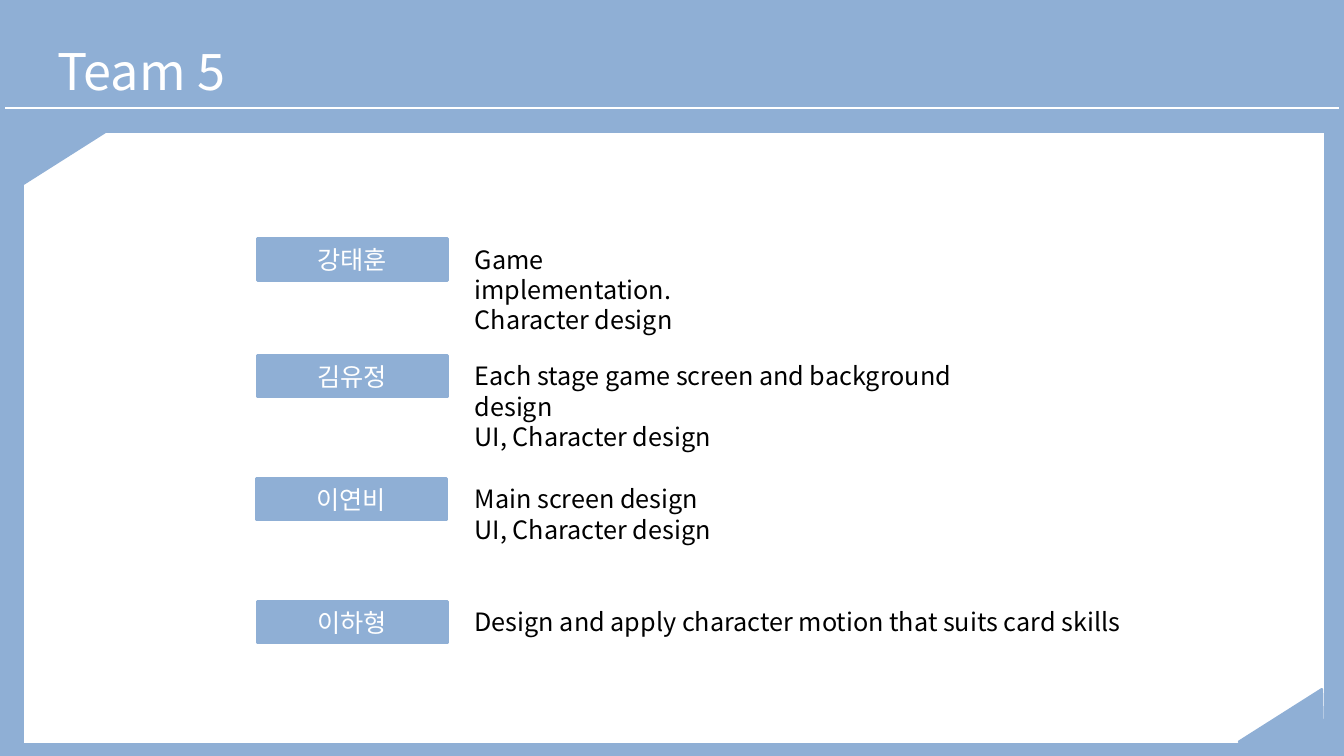
from lxml.etree import SubElement as Sub
from pptx import Presentation
from pptx.dml.color import RGBColor as RGB
from pptx.enum.shapes import MSO_CONNECTOR as Link, MSO_SHAPE as Kind
from pptx.enum.text import MSO_ANCHOR as Anchor, MSO_AUTO_SIZE as Auto, PP_ALIGN as Align
from pptx.oxml.ns import qn
from pptx.util import Inches, Pt

TITLE = "Team 5"
TEAM = [
    ("강태훈", 2.55, 2.37, 2.8, ["Game implementation.", "Character design"]),
    ("김유정", 2.55, 3.53, 5.56, ["Each stage game screen and background design", "UI, Character design"]),
    ("이연비", 2.54, 4.75, 2.66, ["Main screen design", "UI, Character design"]),
    ("이하형", 2.55, 5.97, 6.87, ["Design and apply character motion that suits card skills"]),
]
CUTS = [
    [(0.21, 1.3), (1.04, 1.31), (0.22, 1.83)],
    [(13.12, 7.37), (12.29, 7.36), (13.11, 6.84)],
]
HUES = {"blue": "8FAFD5", "white": "FFFFFF", "black": "000000"}
FONT = "Noto Sans CJK KR"
TAG = {"size": Pt(18), "hue": "white", "align": Align.CENTER}
TASK = {"size": Pt(18), "hue": "black", "align": Align.LEFT}
HEAD = {"size": Pt(36), "hue": "white", "align": Align.LEFT}


def color(name):
    return RGB.from_string(HUES[name])


def paint(shape, fill, line=None):
    shape.shadow.inherit = False
    shape.fill.solid()
    shape.fill.fore_color.rgb = color(fill)
    if line:
        shape.line.color.rgb = color(line)
        shape.line.width = Pt(2)
    else:
        shape.line.fill.background()


def write(frame, lines, look):
    frame.word_wrap = True
    for num, line in enumerate(lines):
        para = frame.add_paragraph() if num else frame.paragraphs[0]
        para.alignment = look["align"]
        run = para.add_run()
        run.text = line
        for key, value in {"name": FONT, "size": look["size"]}.items():
            setattr(run.font, key, value)
        run.font.color.rgb = color(look["hue"])
        Sub(run.font._element, qn("a:ea"), typeface=FONT)


def rect(slide, box, fill, line=None):
    shape = slide.shapes.add_shape(Kind.RECTANGLE, *map(Inches, box))
    paint(shape, fill, line)
    return shape


def label(slide, box, lines, look):
    frame = slide.shapes.add_textbox(*map(Inches, box)).text_frame
    write(frame, lines, look)
    frame.auto_size = Auto.SHAPE_TO_FIT_TEXT


def main():
    deck = Presentation()
    deck.slide_width, deck.slide_height = Inches(13.33), Inches(7.5)
    slide = deck.slides.add_slide(deck.slide_layouts[6])
    back = slide.background.fill
    back.solid()
    back.fore_color.rgb = color("blue")

    rect(slide, (0.24, 1.32, 12.89, 6.05), "white")
    for start, *rest in CUTS:
        path = slide.shapes.build_freeform(*map(Inches, start), scale=1.0)
        path.add_line_segments([(Inches(x), Inches(y)) for x, y in rest], close=True)
        paint(path.convert_to_shape(), "blue", "blue")

    rule = slide.shapes.add_connector(Link.STRAIGHT, *map(Inches, (0.05, 1.07, 13.28, 1.07)))
    rule.line.color.rgb = color("white")
    rule.line.width = Pt(1.75)
    Sub(rule._element.spPr, qn("a:effectLst"))

    for name, left, top, wide, tasks in TEAM:
        tag = rect(slide, (left, top, 1.89, 0.41), "blue", "blue")
        tag.text_frame.vertical_anchor = Anchor.MIDDLE
        write(tag.text_frame, [name], TAG)
        label(slide, (4.61, top, wide, 0.1 + 0.3 * len(tasks)), tasks, TASK)
    label(slide, (0.47, 0.35, 5.1, 0.71), [TITLE], HEAD)
    deck.save("out.pptx")


if __name__ == "__main__":
    main()
